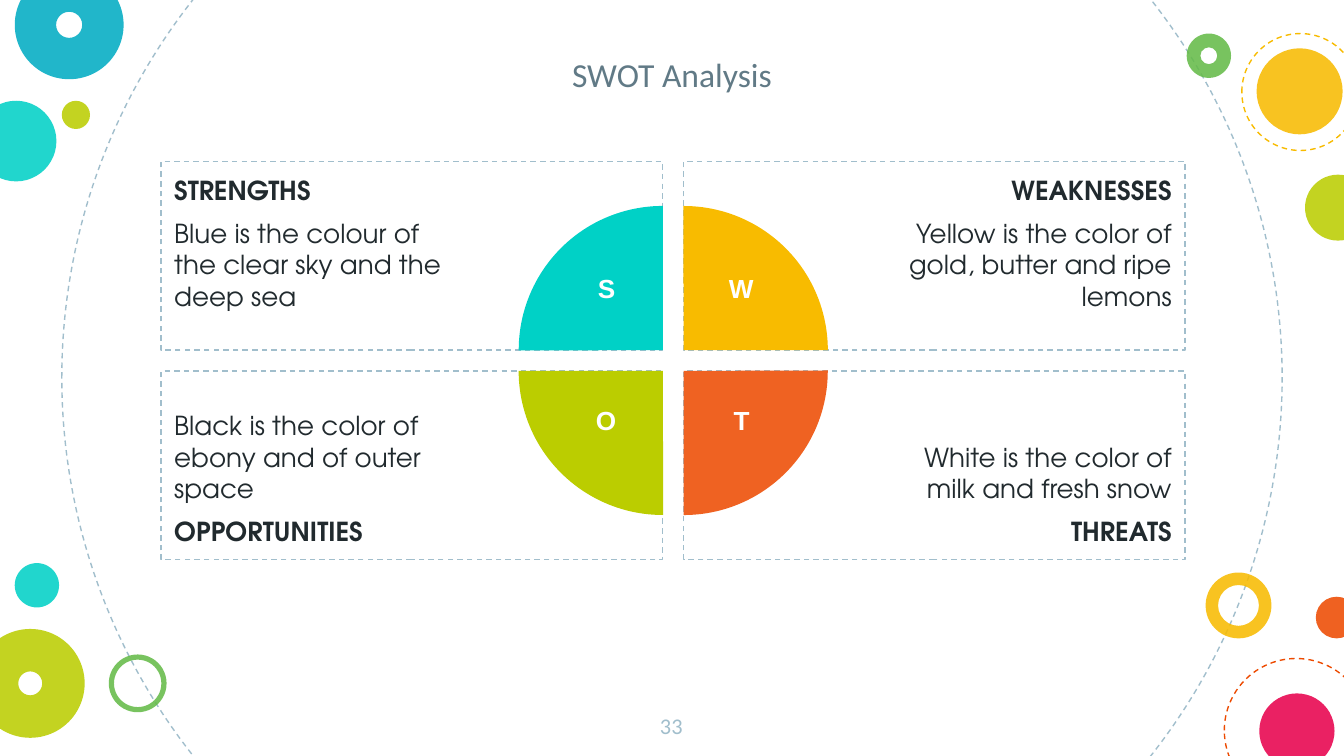
import pptx
import pptx.util
import pptx.dml.color
import pptx.enum.dml
import pptx.enum.shapes
import pptx.enum.text
import pptx.oxml
import pptx.oxml.ns

RGB = pptx.dml.color.RGBColor
SHAPE = pptx.enum.shapes.MSO_SHAPE
ALIGN = pptx.enum.text.PP_ALIGN
ANCHOR = pptx.enum.text.MSO_ANCHOR
WHITE = RGB(0xFF, 0xFF, 0xFF)
INK = RGB(0x21, 0x2A, 0x2E)
SLATE = RGB(0x61, 0x7A, 0x86)
MIST = RGB(0xA1, 0xBE, 0xCC)
TURQUOISE = RGB(0x00, 0xD1, 0xC6)
BLUE = RGB(0x00, 0xAC, 0xC3)
YELLOW = RGB(0xF8, 0xBB, 0x00)
LIME = RGB(0xBB, 0xCD, 0x00)
GREEN = RGB(0x65, 0xBB, 0x48)
RED = RGB(0xED, 0x4A, 0x00)
ORANGE = RGB(0xEF, 0x62, 0x22)
PINK = RGB(0xE8, 0x00, 0x4C)
COLUMNS, ROWS = 100, 56.25
CELL = 0.1


def grid(n):
    return pptx.util.Inches(n * CELL)


def write(tf, text, size=14, font="TeX Gyre Adventor", color=INK, bold=False,
          align=ALIGN.LEFT, before=0, after=0):
    p = tf.paragraphs[0]
    if p.runs:
        p = tf.add_paragraph()
    p.alignment = align
    p.space_before = pptx.util.Pt(before)
    p.space_after = pptx.util.Pt(after)
    r = p.add_run()
    r.text = text
    r.font.size = pptx.util.Pt(size)
    r.font.name = font
    r.font.color.rgb = color
    r.font.bold = bold


class Deck:
    def __init__(self):
        self.prs = pptx.Presentation()
        self.prs.slide_width = grid(COLUMNS)
        self.prs.slide_height = grid(ROWS)
        self.s = self.prs.slides.add_slide(self.prs.slide_layouts[6])

    def shape(self, kind, x, y, w, h, fill=None, line=None, alpha=None):
        sp = self.s.shapes.add_shape(kind, grid(x), grid(y), grid(w), grid(h))
        sp.shadow.inherit = False
        if fill is None:
            sp.fill.background()
        else:
            sp.fill.solid()
            sp.fill.fore_color.rgb = fill
        if alpha:
            clr = sp.element.spPr.find(".//" + pptx.oxml.ns.qn("a:srgbClr"))
            node = pptx.oxml.parse_xml(
                f'<a:alpha {pptx.oxml.ns.nsdecls("a")} val="{alpha * 1000}"/>')
            clr.append(node)
        if line is None:
            sp.line.fill.background()
        else:
            sp.line.color.rgb = line
            sp.line.width = pptx.util.Pt(0.75)
            sp.line.dash_style = pptx.enum.dml.MSO_LINE.DASH
        return sp

    def ring(self, x, y, size, color):
        self.shape(SHAPE.OVAL, x, y, size, size, line=color)

    def disc(self, x, y, size, color, band=None):
        kind = SHAPE.DONUT if band else SHAPE.OVAL
        sp = self.shape(kind, x, y, size, size, fill=color, alpha=87)
        if band:
            sp.adjustments[0] = band

    def frame(self, tf, left=1, top=1, right=1, bottom=1, anchor=ANCHOR.TOP):
        tf.word_wrap = True
        tf.vertical_anchor = anchor
        tf.margin_left, tf.margin_right = grid(left), grid(right)
        tf.margin_top, tf.margin_bottom = grid(top), grid(bottom)

    def label(self, text, x, y, w, h, top=1, anchor=ANCHOR.TOP, **style):
        tf = self.s.shapes.add_textbox(grid(x), grid(y), grid(w), grid(h)).text_frame
        self.frame(tf, top=top, bottom=top, anchor=anchor)
        write(tf, text, align=ALIGN.CENTER, **style)

    def panel(self, col, row, heading, body):
        sp = self.shape(SHAPE.RECTANGLE, 11.98 + 38.9 * col, 12 + 15.6 * row,
                        37.3, 14.05, line=MIST)
        self.frame(sp.text_frame, left=15 if col else 1, right=1 if col else 15,
                   anchor=ANCHOR.BOTTOM if row else ANCHOR.TOP)
        align = ALIGN.RIGHT if col else ALIGN.LEFT
        first, second = (body, heading) if row else (heading, body)
        write(sp.text_frame, first, bold=not row, align=align)
        write(sp.text_frame, second, bold=bool(row), align=align, before=6, after=6)

    def quarter(self, col, row, turn, color):
        sp = self.shape(SHAPE.PIE, 38.6 + 1.55 * col, 15.33 + 1.55 * row,
                        21.44, 21.44, fill=color)
        sp.adjustments[0] = 107.89
        sp.adjustments[1] = 162
        sp.rotation = turn


DISCS = [
    (-1.8, 7.5, 6, TURQUOISE), (89.7, 42.6, 4.9, YELLOW, 0.19),
    (1.1, -2.2, 8.1, BLUE, 0.38), (4.6, 7.5, 2.1, LIME),
    (8.1, 48.7, 4.3, GREEN, 0.09), (97.9, 44.4, 3.1, RED),
    (-1.8, 46.8, 8.1, LIME, 0.39), (93.7, 51.6, 5.6, PINK),
    (88.3, 2.5, 3.3, GREEN, 0.31), (93.5, 3.6, 6.4, YELLOW),
    (97.1, 13, 4.9, LIME), (1.1, 41.9, 3.3, TURQUOISE),
]
RINGS = [(4.6, -17.3, 90.8, MIST), (91.1, 49, 10.7, RED), (92.4, 2.5, 8.7, YELLOW)]
QUADRANTS = [
    (0, 0, 0, TURQUOISE, 3.2, "STRENGTHS",
     "Blue is the colour of the clear sky and the deep sea"),
    (1, 0, 90, YELLOW, 5.1, "WEAKNESSES",
     "Yellow is the color of gold, butter and ripe lemons"),
    (1, 1, 180, ORANGE, 3.1, "THREATS",
     "White is the color of milk and fresh snow"),
    (0, 1, 270, LIME, 3.8, "OPPORTUNITIES",
     "Black is the color of ebony and of outer space"),
]


def main():
    deck = Deck()
    for ring in RINGS:
        deck.ring(*ring)
    for disc in DISCS:
        deck.disc(*disc)
    deck.label("33", 47.4, 52, 5.1, 4.25, size=12, font="Calibri", color=MIST)
    for col, row, turn, color, width, heading, body in QUADRANTS:
        deck.panel(col, row, heading, body)
    for col, row, turn, color, width, heading, body in QUADRANTS:
        deck.quarter(col, row, turn, color)
    for col, row, turn, color, width, heading, body in QUADRANTS:
        deck.label(heading[0], 45.1 + 10.05 * col - width / 2, 19.8 + 9.8 * row,
                   width, 4, top=0.5, font="Arial", color=WHITE, bold=True)
    deck.label("SWOT Analysis", 21.15, 1, 57.7, 7, anchor=ANCHOR.BOTTOM,
               size=18, font="Calibri", color=SLATE)
    deck.prs.save("out.pptx")


if __name__ == "__main__":
    main()
